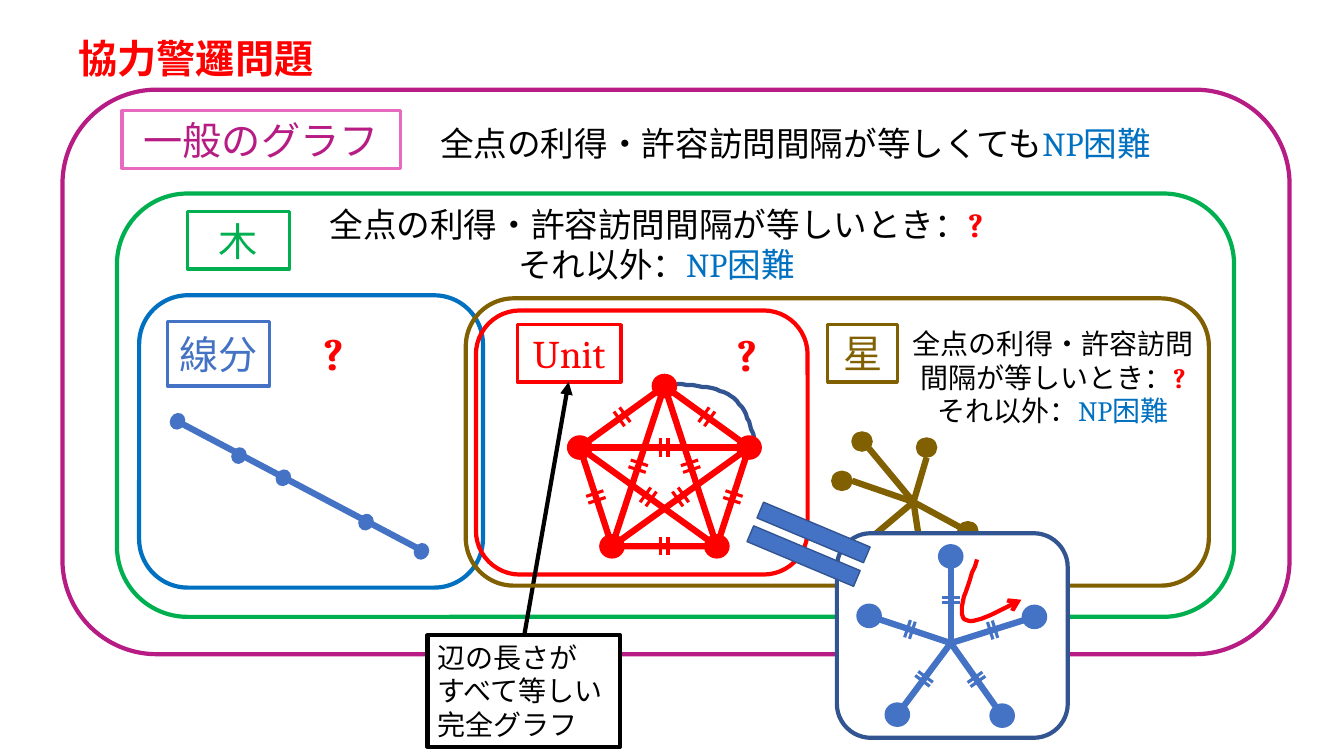
"""Build the slide that maps the complexity of the cooperative patrolling problem."""
from itertools import combinations
from math import hypot

from lxml.etree import SubElement
from pptx import Presentation
from pptx.dml.color import RGBColor
from pptx.enum.shapes import MSO_CONNECTOR, MSO_SHAPE
from pptx.enum.text import MSO_ANCHOR, PP_ALIGN
from pptx.oxml.ns import qn
from pptx.util import Pt

PX = 9144
JAPANESE_FONT, LATIN_FONT = "Noto Sans CJK JP", "Cambria"
BLACK, WHITE, RED = "000000", "FFFFFF", "FF0000"
PURPLE, PINK, GREEN, BROWN = "B61C83", "E86ABE", "00B050", "806000"
BLUE, BRIGHT_BLUE, DARK_BLUE = "4472C4", "0070C0", "325491"
RECTANGLE, ROUNDED, OVAL = MSO_SHAPE.RECTANGLE, MSO_SHAPE.ROUNDED_RECTANGLE, MSO_SHAPE.OVAL

presentation = Presentation()
presentation.slide_width, presentation.slide_height = 1333 * PX, 750 * PX
slide = presentation.slides.add_slide(presentation.slide_layouts[6])


def add_box(bounds, paragraphs=(), kind=None, fill=None, line=None, width=1, rotation=0,
            size=28, bold=False, align=PP_ALIGN.CENTER, anchor=MSO_ANCHOR.TOP, wrap=True):
    """Add a preset shape or a text box; each paragraph is a list of (text, colour) runs."""
    bounds = [round(value * PX) for value in bounds]
    if kind is None:
        shape = slide.shapes.add_textbox(*bounds)
    else:
        shape = slide.shapes.add_shape(kind, *bounds)
        shape.shadow.inherit = False
        shape.rotation = rotation
        for part, color in ((shape.fill, fill), (shape.line.fill, line)):
            if color:
                part.solid()
                part.fore_color.rgb = RGBColor.from_string(color)
            else:
                part.background()
        if line:
            shape.line.width = Pt(width)
    frame = shape.text_frame
    frame.word_wrap, frame.vertical_anchor = wrap, anchor
    for index, runs in enumerate(paragraphs):
        paragraph = frame.add_paragraph() if index else frame.paragraphs[0]
        paragraph.alignment = align
        for text, color in runs:
            run = paragraph.add_run()
            run.text = text
            run.font.size = Pt(size)
            run.font.bold = bold or text == "?"
            run.font.color.rgb = RGBColor.from_string(color)
            run.font.name = LATIN_FONT if text.isascii() else JAPANESE_FONT
            SubElement(run.font._element, qn("a:ea"), typeface=JAPANESE_FONT)


def add_line(start, end, color, width=4.5, arrow=None):
    """Add a straight connector, with an arrowhead at its end if one is named."""
    ends = [round(value * PX) for value in (*start, *end)]
    connector = slide.shapes.add_connector(MSO_CONNECTOR.STRAIGHT, *ends)
    connector.line.color.rgb = RGBColor.from_string(color)
    connector.line.width = Pt(width)
    if arrow:
        SubElement(connector.line._get_or_add_ln(), qn("a:tailEnd"), type=arrow)
    SubElement(connector._element.spPr, qn("a:effectLst"))


regions = [
    ((62, 89, 1217, 560), PURPLE),
    ((116, 192, 1108, 420), GREEN),
    ((138, 293, 341, 290), BRIGHT_BLUE),
    ((472, 308, 329, 262), RED),
]
for bounds, color in regions:
    add_box(bounds, kind=ROUNDED, line=color, width=3)

labels = [
    ("一般のグラフ", (121, 110, 276, 57), PURPLE, PINK),
    ("木", (186, 210, 101, 57), GREEN, GREEN),
    ("線分", (166, 319, 101, 64), BLUE, BLUE),
    ("Unit", (513, 322, 103, 57), RED, RED),
    ("星", (821, 322, 69, 57), BROWN, BROWN),
]
for text, bounds, color, border in labels:
    add_box(bounds, [[(text, color)]], kind=RECTANGLE, line=border, width=2.25,
            anchor=MSO_ANCHOR.MIDDLE)

hard = [("NP", BRIGHT_BLUE), ("困難", BRIGHT_BLUE)]
equal_or_not = [
    [("全点の利得・許容訪問間隔が等しいとき：", BLACK), ("?", RED)],
    [("それ以外：", BLACK), *hard],
]
add_box((68, 29, 256, 57), [[("協力警邏問題", RED)]], bold=True, align=PP_ALIGN.LEFT, wrap=False)
add_box((401, 117, 776, 50), [[("全点の利得・許容訪問間隔が等しくても", BLACK), *hard]], size=24)
add_box((287, 197, 728, 91), equal_or_not, size=24)
add_box((890, 319, 309, 111), equal_or_not, size=20)
for left, top in ((311, 318), (721, 319)):
    add_box((left, top, 39, 64), [[("?", RED)]], size=32, align=PP_ALIGN.LEFT, wrap=False)

add_line((176, 418), (420, 547), BLUE)
for x, y in ((176, 418), (237, 452), (281, 474), (363, 518), (418, 547)):
    add_box((x - 7.5, y - 8.5, 15, 17), kind=OVAL, fill=BLUE, rotation=28)

definition = [[(text, BLACK)] for text in ("辺の長さが", "すべて等しい", "完全グラフ")]
add_box((424, 630, 191, 111), definition, kind=RECTANGLE, fill=WHITE, line=BLACK, width=3,
        size=20, align=PP_ALIGN.LEFT)
add_line((520, 630), (564, 379), BLACK, width=3, arrow="triangle")

for end in ((916, 564), (862, 445), (855, 541), (919, 454), (965, 530), (845, 477)):
    add_line((906, 498), end, BROWN)
for x, y in ((855, 438), (919, 444), (960, 527), (835, 477)):
    add_box((x - 10, y - 9.5, 20, 19), kind=OVAL, fill=BROWN, line=BROWN)
add_box((462, 296, 737, 285), kind=ROUNDED, line=BROWN, width=3)

add_box((830, 529, 229, 203), kind=ROUNDED, fill=WHITE, line=DARK_BLUE, width=3)
hub = (943, 638)
star_tips = [(943, 552), (1026, 612), (994, 710), (890, 709), (862, 611)]
for tip in star_tips:
    add_line(hub, tip, BLUE)

add_box((724, 504, 156, 72), kind=MSO_SHAPE.MATH_EQUAL, fill=BLUE, line=DARK_BLUE, rotation=22.8)

curves = [
    ([(969, 555), (959, 582), (949, 608), (956, 614), (964, 621), (988, 608), (1013, 595)],
     RED, "arrow"),
    ([(671, 381), (692, 383), (713, 384), (725, 393), (738, 402), (743, 418), (748, 434)],
     DARK_BLUE, None),
]
for points, color, arrow in curves:
    builder = slide.shapes.build_freeform(*points[0], scale=PX)
    for first in (0, 3):
        a, b, c, d = points[first:first + 4]
        steps = [step / 12 for step in range(1, 13)]
        builder.add_line_segments(
            [tuple((1 - t) ** 3 * a[k] + 3 * t * (1 - t) ** 2 * b[k]
                   + 3 * t ** 2 * (1 - t) * c[k] + t ** 3 * d[k] for k in (0, 1))
             for t in steps], close=False)
    shape = builder.convert_to_shape()
    shape.shadow.inherit = False
    shape.fill.background()
    shape.line.color.rgb = RGBColor.from_string(color)
    shape.line.width = Pt(3)
    if arrow:
        SubElement(shape.line._get_or_add_ln(), qn("a:tailEnd"), type=arrow)

corners = [(659, 383), (743, 444), (711, 542), (607, 542), (575, 444)]
add_box((575, 383, 168, 159), kind=MSO_SHAPE.REGULAR_PENTAGON, line=RED, width=4.5)
for first, second in combinations(range(5), 2):
    if second - first in (2, 3):
        add_line(corners[first], corners[second], RED)

for nodes, color in ((star_tips, BLUE), (corners, RED)):
    for x, y in nodes:
        add_box((x - 12, y - 11.5, 24, 23), kind=OVAL, fill=color, line=color)

edges = [(hub, tip, BLUE, 5) for tip in star_tips]
edges += [(start, end, RED, 7) for start, end in combinations(corners, 2)]
for (x1, y1), (x2, y2), color, gap in edges:
    length = hypot(x2 - x1, y2 - y1)
    along_x, along_y = (x2 - x1) / length, (y2 - y1) / length
    for shift in (-gap / 2, gap / 2):
        x, y = (x1 + x2) / 2 + shift * along_x, (y1 + y2) / 2 + shift * along_y
        add_line((x - 9 * along_y, y + 9 * along_x), (x + 9 * along_y, y - 9 * along_x),
                 color, width=2.25)

presentation.save("out.pptx")
